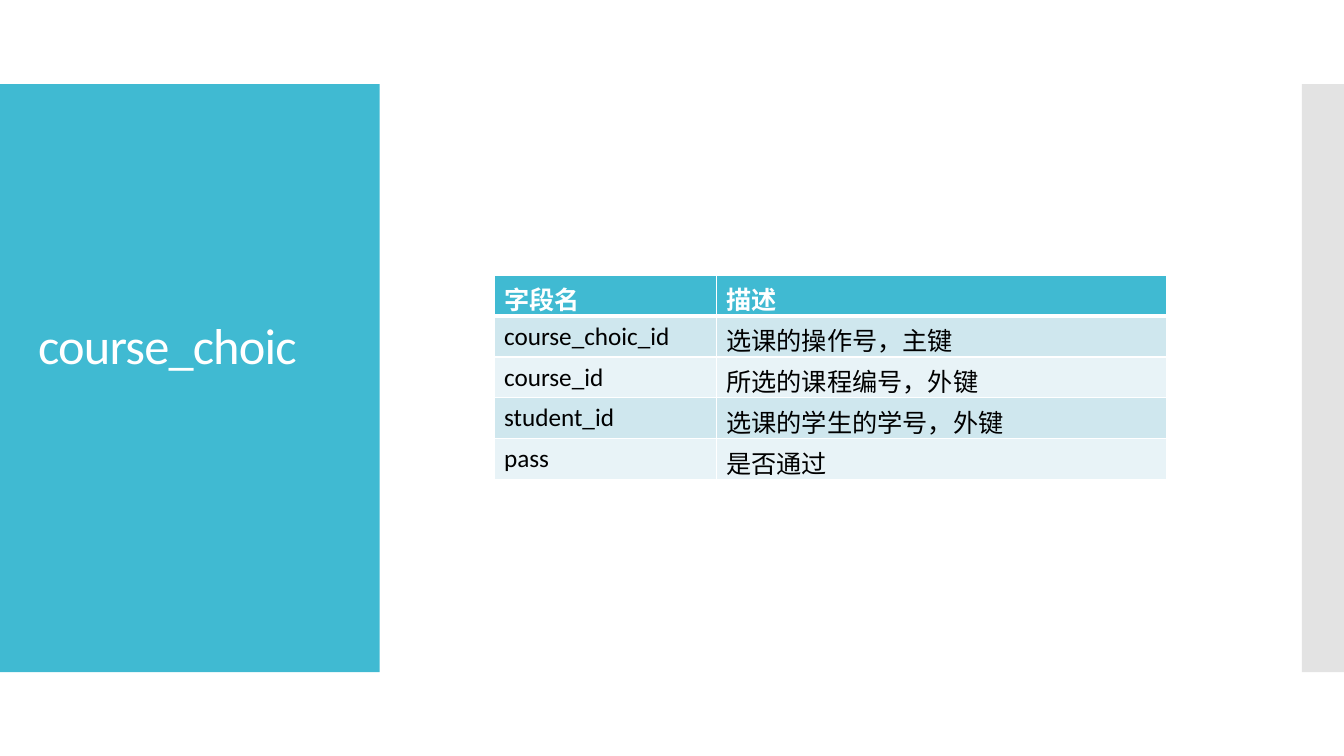
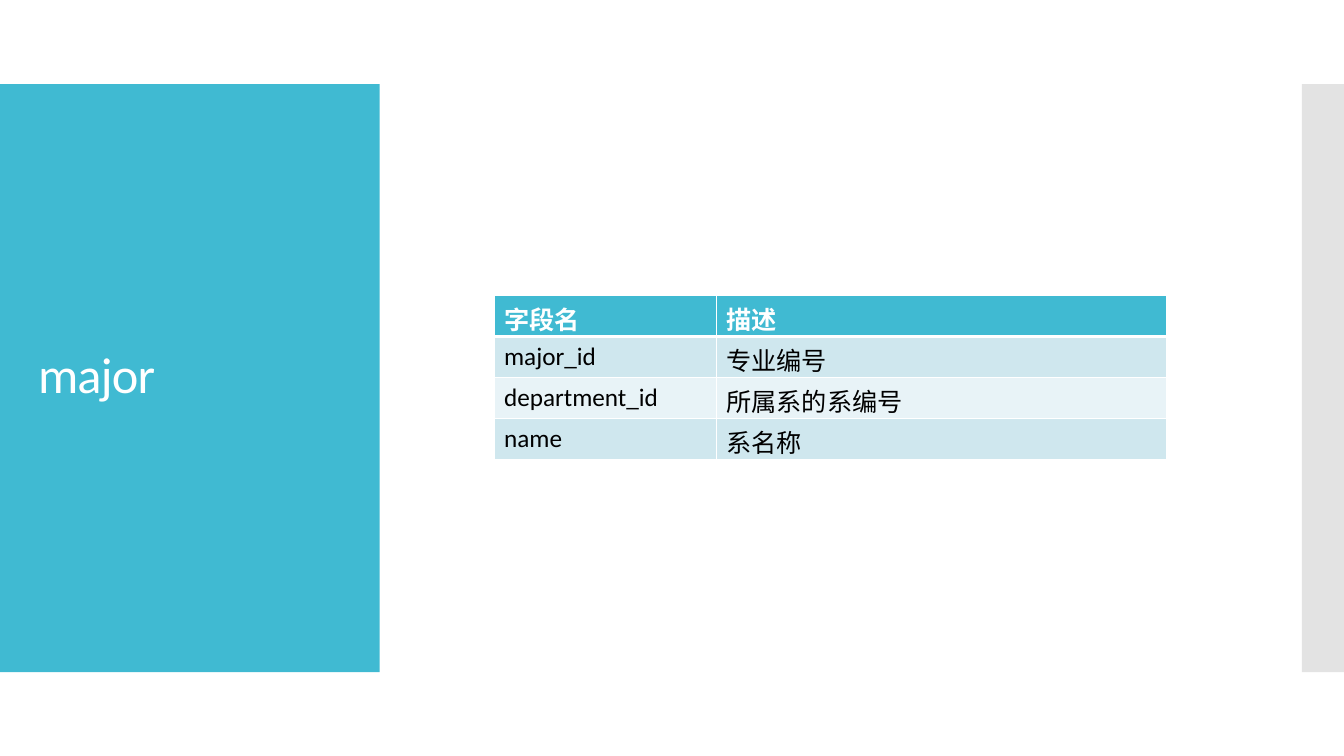
from dataclasses import dataclass

from lxml.etree import SubElement
from pptx import Presentation
from pptx.dml.color import RGBColor
from pptx.enum.shapes import MSO_SHAPE
from pptx.enum.text import MSO_ANCHOR
from pptx.oxml.ns import qn
from pptx.util import Cm, Pt

HEADER = ("字段名", "描述")

# Room below the title, in cm, raises it above the middle of the band.
TABLES = [
    {
        "title": "course_choic",
        "room_below": 1.6,
        "fields": [
            ("course_choic_id", "选课的操作号，主键"),
            ("course_id", "所选的课程编号，外键"),
            ("student_id", "选课的学生的学号，外键"),
            ("pass", "是否通过"),
        ],
    },
    {
        "title": "major",
        "room_below": 0.13,
        "fields": [
            ("major_id", "专业编号"),
            ("department_id", "所属系的系编号"),
            ("name", "系名称"),
        ],
    },
]


@dataclass(frozen=True)
class Theme:
    accent: str = "40BAD2"
    side: str = "C8C8C8"
    row_fills: tuple = ("CFE7EE", "E8F3F7")
    light: str = "FFFFFF"
    dark: str = "000000"
    font: str = "Calibri"
    title_size: int = 36
    table_size: int = 18
    thin_line: int = 1
    thick_line: int = 3


THEME = Theme()

SLIDE_WIDTH, SLIDE_HEIGHT = Cm(33.87), Cm(19.05)
BAND_TOP, BAND_HEIGHT = Cm(2.12), Cm(14.82)
TITLE_BAND_WIDTH, SIDE_BAND_WIDTH = Cm(9.57), Cm(1.06)
TITLE_BOX = (Cm(0.71), Cm(3.13), Cm(8.18), Cm(12.78))
TABLE_LEFT, TABLE_MIDDLE = Cm(12.45), Cm(9.51)
COLUMN_WIDTHS = (Cm(5.6), Cm(11.34))
ROW_HEIGHT = Cm(1.03)


def style_text(paragraph, size, color, bold=False):
    for run in paragraph.runs:
        run.font.name = THEME.font
        run.font.size = Pt(size)
        run.font.bold = bold
        run.font.color.rgb = RGBColor.from_string(color)


def add_band(slide, left, width, color):
    band = slide.shapes.add_shape(
        MSO_SHAPE.RECTANGLE, left, BAND_TOP, width, BAND_HEIGHT)
    band.shadow.inherit = False
    band.fill.solid()
    band.fill.fore_color.rgb = RGBColor.from_string(color)
    band.line.fill.background()
    return band


def move_bands_to_layout(slide):
    """Draw both bands on the slide, then hand them to its layout for all slides."""
    title_band = add_band(slide, 0, TITLE_BAND_WIDTH, THEME.accent)
    side_band = add_band(
        slide, SLIDE_WIDTH - SIDE_BAND_WIDTH, SIDE_BAND_WIDTH, THEME.side)
    side_color = side_band.element.spPr.find(
        f"{qn('a:solidFill')}/{qn('a:srgbClr')}")
    SubElement(side_color, qn("a:alpha"), val="50000")
    for band in (title_band, side_band):
        slide.slide_layout.shapes.element.append(band.element)


def add_title(slide, title, room_below):
    text_frame = slide.shapes.add_textbox(*TITLE_BOX).text_frame
    text_frame.word_wrap = True
    text_frame.vertical_anchor = MSO_ANCHOR.MIDDLE
    text_frame.margin_bottom = Cm(room_below)
    text_frame.text = title
    paragraph = text_frame.paragraphs[0]
    paragraph.line_spacing = 0.9
    style_text(paragraph, THEME.title_size, THEME.light)
    paragraph.runs[0].font._element.set("spc", "-60")


def set_borders(cell, top, bottom):
    properties = cell._tc.get_or_add_tcPr()
    widths = {"L": THEME.thin_line, "R": THEME.thin_line, "T": top, "B": bottom}
    for side, width in widths.items():
        line = SubElement(properties, qn(f"a:ln{side}"), w=str(Pt(width)))
        fill = SubElement(line, qn("a:solidFill"))
        SubElement(fill, qn("a:srgbClr"), val=THEME.light)


def add_field_table(slide, fields):
    rows = [HEADER, *fields]
    height = ROW_HEIGHT * len(rows)
    table = slide.shapes.add_table(
        len(rows), len(HEADER), TABLE_LEFT, TABLE_MIDDLE - height // 2,
        sum(COLUMN_WIDTHS), height).table
    for column, width in zip(table.columns, COLUMN_WIDTHS):
        column.width = width

    for row_index, row in enumerate(rows):
        table.rows[row_index].height = ROW_HEIGHT
        is_header = row_index == 0
        fill = THEME.accent if is_header else THEME.row_fills[(row_index - 1) % 2]
        color = THEME.light if is_header else THEME.dark
        top = THEME.thick_line if row_index == 1 else THEME.thin_line
        bottom = THEME.thick_line if is_header else THEME.thin_line
        for column_index, text in enumerate(row):
            cell = table.cell(row_index, column_index)
            set_borders(cell, top, bottom)
            cell.fill.solid()
            cell.fill.fore_color.rgb = RGBColor.from_string(fill)
            cell.text_frame.text = text
            style_text(cell.text_frame.paragraphs[0], THEME.table_size, color,
                       bold=is_header)


def main():
    presentation = Presentation()
    presentation.slide_width = SLIDE_WIDTH
    presentation.slide_height = SLIDE_HEIGHT
    blank_layout = presentation.slide_layouts[6]
    slides = [presentation.slides.add_slide(blank_layout) for _ in TABLES]
    move_bands_to_layout(slides[0])
    for slide, content in zip(slides, TABLES):
        add_title(slide, content["title"], content["room_below"])
        add_field_table(slide, content["fields"])
    presentation.save("out.pptx")


if __name__ == "__main__":
    main()
